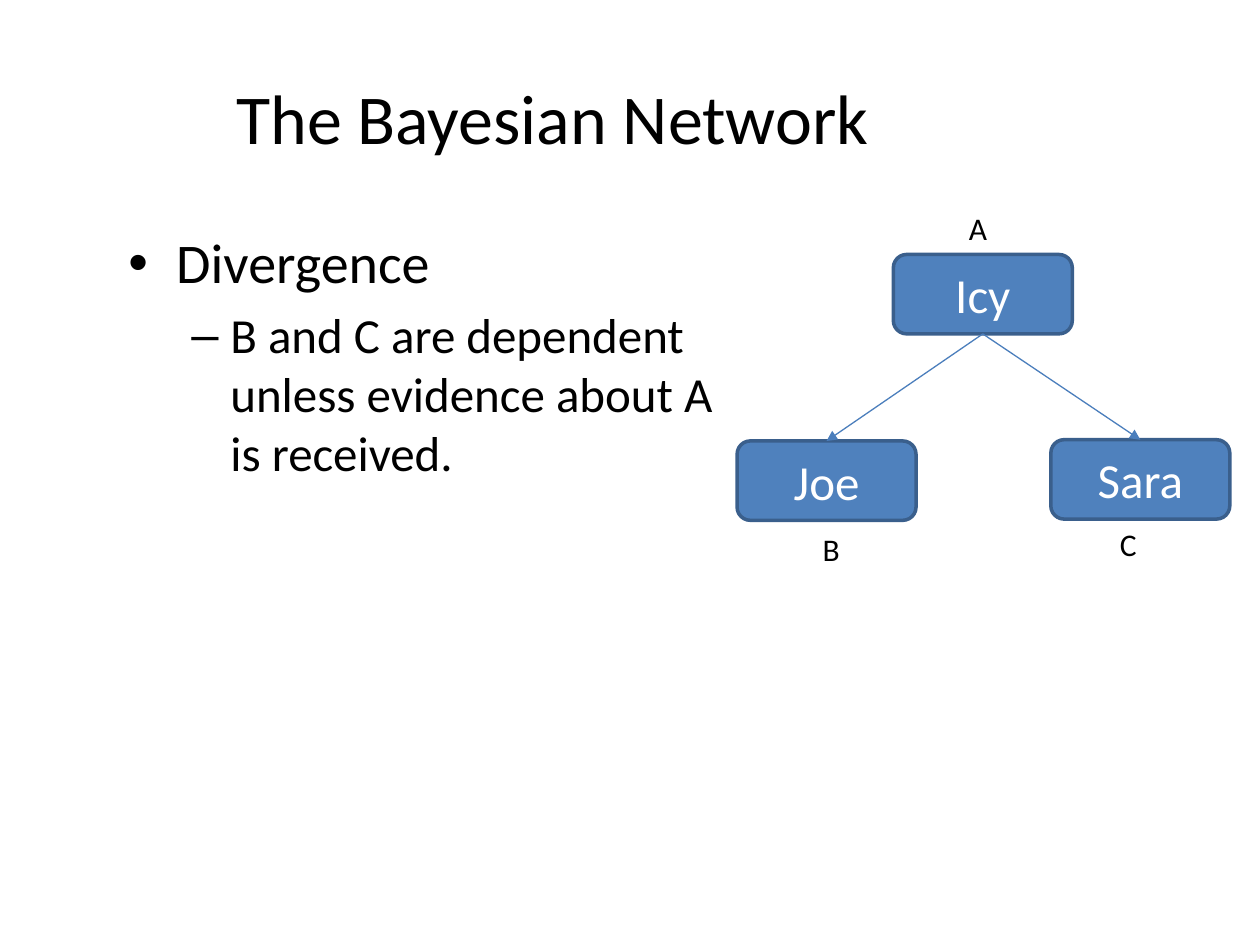
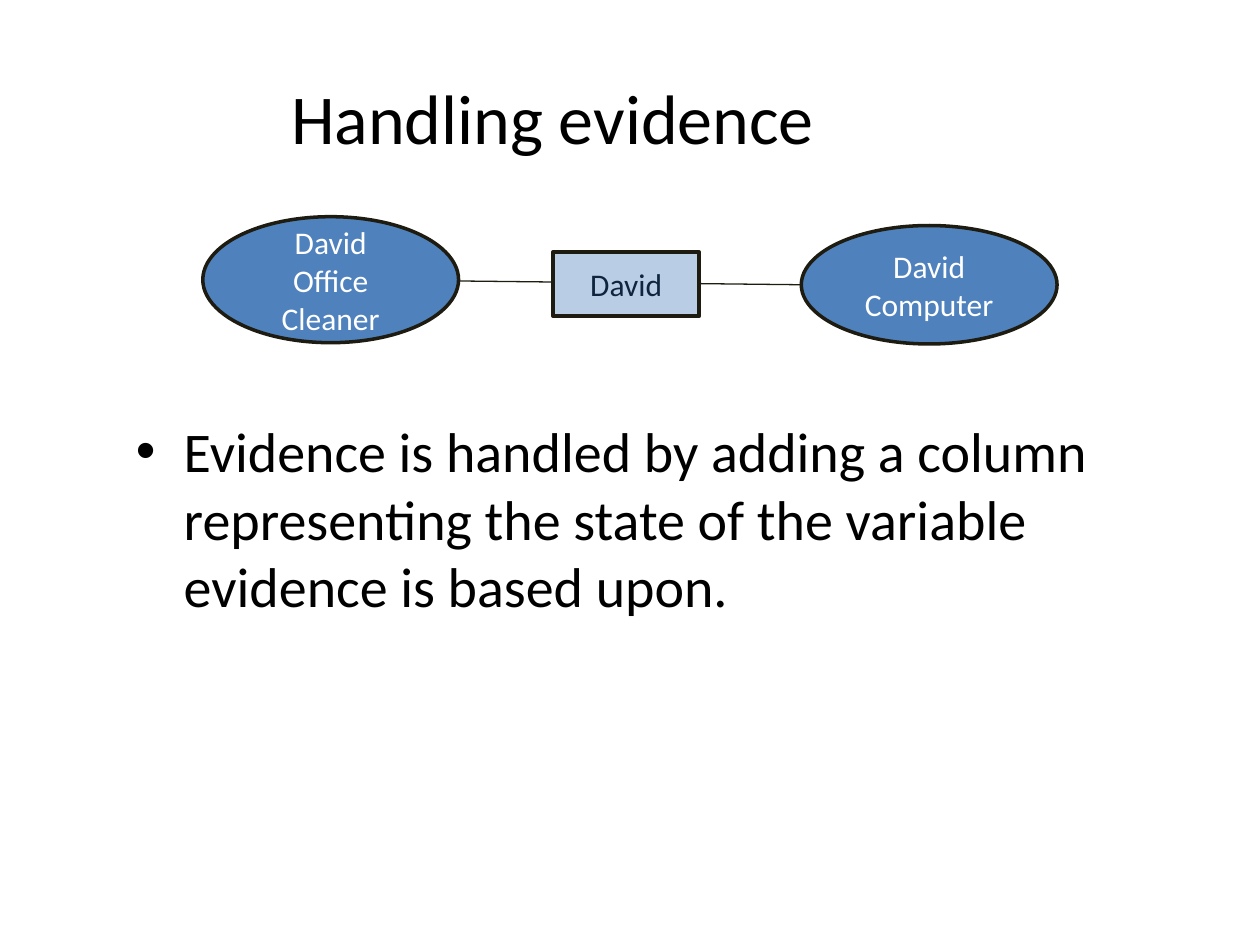
from pptx import Presentation
from pptx.dml.color import RGBColor
from pptx.enum.shapes import MSO_CONNECTOR, MSO_SHAPE
from pptx.enum.text import MSO_ANCHOR, PP_ALIGN
from pptx.oxml.ns import qn
from pptx.util import Inches, Pt
from lxml.etree import SubElement

BLACK = RGBColor(0x00, 0x00, 0x00)
WHITE = RGBColor(0xFF, 0xFF, 0xFF)
BLUE = RGBColor(0x4F, 0x81, 0xBD)
BLUE_EDGE = RGBColor(0x3A, 0x5F, 0x8C)
ARROW_BLUE = RGBColor(0x4B, 0x7E, 0xBC)
PALE_BLUE = RGBColor(0xB9, 0xCD, 0xE5)
NAVY = RGBColor(0x0F, 0x24, 0x3E)
DARK = RGBColor(0x1E, 0x1C, 0x11)

FONT = "Calibri"
BULLETS = [
    {"char": "•", "size": 32, "left": 0.38, "hang": 0.38},
    {"char": "–", "size": 28, "left": 0.81, "hang": 0.31},
]
NODE_W, NODE_H = 1.42, 0.63


def set_attrs(obj, values):
    for name, value in values.items():
        setattr(obj, name, value)


def write(p, text, size, color, align=PP_ALIGN.LEFT):
    p.alignment = align
    r = p.add_run()
    r.text = text
    set_attrs(r.font, {"name": FONT, "size": Pt(size)})
    r.font.color.rgb = color


def write_lines(tf, lines, size, color, align):
    for i, line in enumerate(lines):
        p = tf.add_paragraph() if i else tf.paragraphs[0]
        write(p, line, size, color, align)


def add_text_box(s, box, anchor=MSO_ANCHOR.TOP, wrap=True):
    tf = s.shapes.add_textbox(*map(Inches, box)).text_frame
    set_attrs(tf, {"word_wrap": wrap, "vertical_anchor": anchor})
    return tf


def add_title(s, text):
    tf = add_text_box(s, (0.98, 0.3, 6.81, 1.25), MSO_ANCHOR.MIDDLE)
    write(tf.paragraphs[0], text, 40, BLACK, PP_ALIGN.CENTER)


def add_bullets(s, box, items):
    tf = add_text_box(s, box)
    for i, (level, text) in enumerate(items):
        style = BULLETS[level]
        p = tf.add_paragraph() if i else tf.paragraphs[0]
        set_attrs(p, {"level": level, "space_before": Pt(0.2 * style["size"])})
        write(p, text, style["size"], BLACK)
        pPr = p._p.get_or_add_pPr()
        pPr.set("marL", str(Inches(style["left"])))
        pPr.set("indent", str(-Inches(style["hang"])))
        SubElement(pPr, qn("a:buFont")).set("typeface", "Arial")
        SubElement(pPr, qn("a:buChar")).set("char", style["char"])


def add_label(s, text, x, y):
    tf = add_text_box(s, (x, y, 0.35, 0.4), wrap=False)
    write(tf.paragraphs[0], text, 18, BLACK)


def add_node(s, kind, box, lines, size, fill=BLUE, edge=DARK, color=WHITE):
    sp = s.shapes.add_shape(kind, *map(Inches, box))
    sp.shadow.inherit = False
    sp.fill.solid()
    sp.fill.fore_color.rgb = fill
    sp.line.color.rgb = edge
    sp.line.width = Pt(2)
    tf = sp.text_frame
    set_attrs(tf, {"word_wrap": True, "vertical_anchor": MSO_ANCHOR.MIDDLE})
    write_lines(tf, lines, size, color, PP_ALIGN.CENTER)


def add_line(s, start, end, color, arrow=False):
    c = s.shapes.add_connector(MSO_CONNECTOR.STRAIGHT, *map(Inches, start + end))
    c.line.color.rgb = color
    c.line.width = Pt(0.75)
    if arrow:
        SubElement(c.line._get_or_add_ln(), qn("a:tailEnd")).set("type", "triangle")
    SubElement(c._element.spPr, qn("a:effectLst"))


def build_network(s):
    add_title(s, "The Bayesian Network")
    add_bullets(s, (0.92, 1.76, 5.02, 4.95), [
        (0, "Divergence"),
        (1, "B and C are dependent unless evidence about A is received."),
    ])
    parent = (7.09, 2.02)
    children = {"Joe": (5.85, 3.5), "Sara": (8.34, 3.49)}
    for name, (x, y) in {**children, "Icy": parent}.items():
        add_node(s, MSO_SHAPE.ROUNDED_RECTANGLE, (x, y, NODE_W, NODE_H),
                 [name], 28, edge=BLUE_EDGE)
    start = (parent[0] + NODE_W / 2, parent[1] + NODE_H)
    for x, y in children.values():
        add_line(s, start, (x + NODE_W / 2, y), ARROW_BLUE, arrow=True)
    for text, x, y in [("A", 7.59, 1.61), ("B", 6.43, 4.16), ("C", 8.79, 4.12)]:
        add_label(s, text, x, y)


def build_evidence(s):
    add_title(s, "Handling evidence")
    add_bullets(s, (0.98, 3.26, 8.52, 3.44), [
        (0, "Evidence is handled by adding a column representing the state "
            "of the variable evidence is based upon."),
    ])
    add_line(s, (3.64, 2.23), (6.36, 2.26), DARK)
    add_node(s, MSO_SHAPE.OVAL, (1.61, 1.72, 2.03, 1),
             ["David", "Office", "Cleaner"], 18)
    add_node(s, MSO_SHAPE.RECTANGLE, (4.39, 2, 1.16, 0.51),
             ["David"], 18, fill=PALE_BLUE, color=NAVY)
    add_node(s, MSO_SHAPE.OVAL, (6.36, 1.79, 2.03, 0.94),
             ["David", "Computer"], 18)


def main():
    prs = Presentation()
    set_attrs(prs, {"slide_width": Inches(10), "slide_height": Inches(7.5)})
    for build in (build_network, build_evidence):
        build(prs.slides.add_slide(prs.slide_layouts[6]))
    prs.save("out.pptx")


if __name__ == "__main__":
    main()
